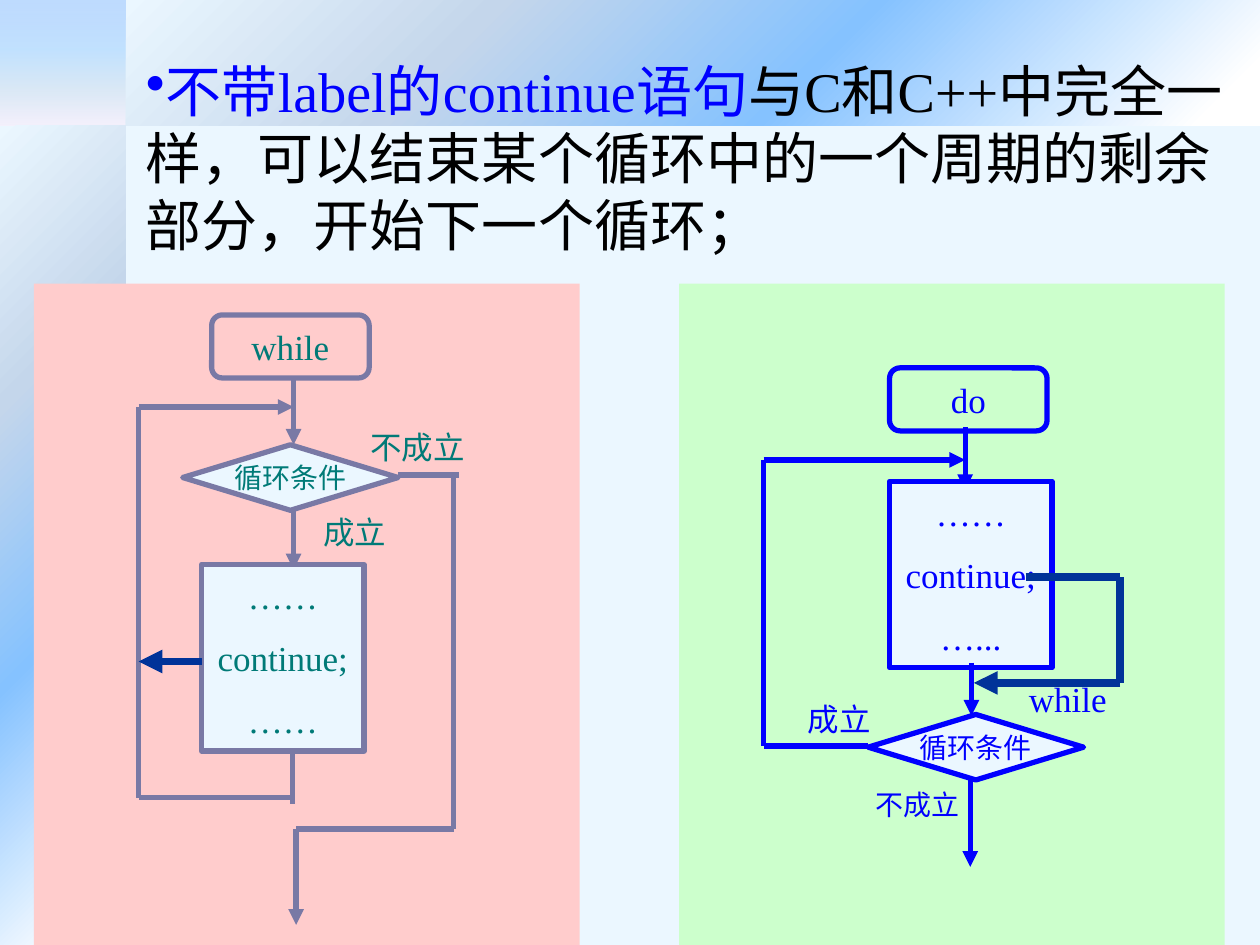
import pptx
import pptx.util
import pptx.dml.color
import pptx.enum.shapes
import pptx.enum.text
import pptx.oxml
import pptx.oxml.ns
from lxml import etree

SHAPE = pptx.enum.shapes.MSO_SHAPE
FONT = "Times New Roman"
COLORS = {"page": "EBF7FF", "pink": "FFCCCC", "green": "CCFFCC", "slate": "7979A5",
          "teal": "007A77", "blue": "0000FF", "navy": "003399", "black": "000000"}
RGB = {name: pptx.dml.color.RGBColor.from_string(h) for name, h in COLORS.items()}
A = "http://schemas.openxmlformats.org/drawingml/2006/main"

prs = pptx.Presentation()
prs.slide_width = pptx.util.Inches(10)
prs.slide_height = pptx.util.Inches(7.5)
U = prs.slide_width // 10  # grid cell: 10 columns by 7.5 rows
s = prs.slides.add_slide(prs.slide_layouts[6])
s.background.fill.solid()
s.background.fill.fore_color.rgb = RGB["page"]


def add_box(shapes, kind, at, fill=None, line=None, lines=(), size=20, color="black", wrap=True):
    """Add a preset shape, or a text box when kind is None, with centred lines of text."""
    pos = [int(v * U) for v in at]
    if kind is None:
        sp = shapes.add_textbox(*pos)
    else:
        sp = shapes.add_shape(kind, *pos)
        sp.shadow.inherit = False
        if fill:
            sp.fill.solid()
            sp.fill.fore_color.rgb = RGB[fill]
        else:
            sp.fill.background()
        if line:
            sp.line.color.rgb = RGB[line]
            sp.line.width = pptx.util.Pt(3)
        else:
            sp.line.fill.background()
    tf = sp.text_frame
    tf.word_wrap = wrap
    tf.vertical_anchor = pptx.enum.text.MSO_ANCHOR.MIDDLE
    for i, text in enumerate(lines):
        p = tf.add_paragraph() if i else tf.paragraphs[0]
        p.alignment = pptx.enum.text.PP_ALIGN.CENTER
        if i:
            p.space_before = pptx.util.Pt(11.5)
        r = p.add_run()
        r.text = text
        r.font.size = pptx.util.Pt(size)
        r.font.name = FONT
        r.font.color.rgb = RGB[color]
    return sp


def add_route(shapes, points, color, arrow, width=3):
    """Join the points with straight lines; the last may end in an arrowhead."""
    for i, (a, b) in enumerate(zip(points, points[1:]), 1):
        cn = shapes.add_connector(pptx.enum.shapes.MSO_CONNECTOR.STRAIGHT,
                                  *[int(v * U) for v in a + b])
        cn.line.color.rgb = RGB[color]
        cn.line.width = pptx.util.Pt(width)
        if arrow and i == len(points) - 1:
            etree.SubElement(cn.line._get_or_add_ln(), f"{{{A}}}tailEnd", type="triangle")
        etree.SubElement(cn._element.spPr, f"{{{A}}}effectLst")


# Gradient bands along the top and left edges
CORNER = [(0, "5E9EFF", 31), (40, "85C2FF", 40), (70, "C4D6EB", 44), (100, "FFEBFA", 50)]
BAND = [(5, "FFFFFF", 100), (40, "85C2FF", 100), (70, "C4D6EB", 100), (100, "EBF7FF", 100)]
LINEAR = '<a:lin ang="5400000" scaled="0"/>'
RADIAL = '<a:path path="circle"><a:fillToRect l="100000" t="100000"/></a:path>'
for at, rotation, stops, shade in [((0, 0, 1, 1), 0, CORNER, LINEAR),
                                   ((1, 0, 9, 1), 0, BAND, RADIAL),
                                   ((-2.75, 3.75, 6.5, 1), 90, BAND, RADIAL)]:
    sp = add_box(s.shapes, SHAPE.RECTANGLE, at)
    sp.rotation = rotation
    gs = "".join(f'<a:gs pos="{pos * 1000}"><a:srgbClr val="{c}"><a:alpha val="{alpha * 1000}"/>'
                 f'</a:srgbClr></a:gs>' for pos, c, alpha in stops)
    grad = pptx.oxml.parse_xml(f'<a:gradFill xmlns:a="{A}" rotWithShape="1">'
                               f'<a:gsLst>{gs}</a:gsLst>{shade}</a:gradFill>')
    no_fill = sp._element.spPr.find(pptx.oxml.ns.qn("a:noFill"))
    sp._element.spPr.replace(no_fill, grad)

# Bulleted statement
tf = add_box(s.shapes, None, (1.06, 0.4, 8.83, 1.7)).text_frame
tf.vertical_anchor = pptx.enum.text.MSO_ANCHOR.TOP
p = tf.paragraphs[0]
pPr = p._p.get_or_add_pPr()
pPr.set("marL", "0")
pPr.set("indent", "0")
etree.SubElement(pPr, f"{{{A}}}buChar", char="•")
for text, color in [("不带label的continue语句", "blue"),
                    ("与C和C++中完全一样，可以结束某个循环中的一个周期的剩余部分，开始下一个循环；", "black")]:
    r = p.add_run()
    r.text = text
    r.font.size = pptx.util.Pt(32)
    r.font.name = FONT
    r.font.color.rgb = RGB[color]

# Flowcharts: routes are (points, arrow); labels are (at, text, size, wrap)
CHARTS = [
    dict(left=0.27, fill="pink", line="slate", text="teal",
         start=(1.68, 2.5), keyword="while", test=(1.45, 3.53),
         body=(1.6, 4.48), steps=["……", "continue;", "……"],
         labels=[((2.84, 3.35, 0.95, 0.4), "不成立", 18, False),
                 ((2.18, 4.02, 1.27, 0.4), "成立", 18, True)],
         under=[([(2.33, 3), (2.33, 3.53)], True),
                ([(2.33, 4.05), (2.33, 4.52)], True),
                ([(2.33, 6.33), (1.1, 6.33), (1.1, 3.23), (2.33, 3.23)], True),
                ([(3.16, 3.77), (3.64, 3.77)], False)],
         over=[([(2.32, 5.96), (2.32, 6.38)], False),
               ([(3.6, 3.75), (3.6, 6.58), (2.35, 6.58), (2.35, 7.34)], True)],
         jump=[(1.6, 5.25), (1.1, 5.25)]),
    dict(left=5.39, fill="green", line="blue", text="blue",
         start=(7.06, 2.92), keyword="do", test=(6.89, 5.67),
         body=(7.06, 3.82), steps=["……", "continue;", "…..."],
         labels=[((6.31, 5.51, 0.7, 0.4), "成立", 18, False),
                 ((6.81, 6.2, 0.95, 0.37), "不成立", 16, True),
                 ((8.06, 5.33, 0.83, 0.43), "while", 20, True)],
         under=[([(7.66, 3.39), (7.66, 3.89)], True),
                ([(6.89, 5.92), (6.06, 5.92), (6.06, 3.65), (7.66, 3.65)], True)],
         over=[([(7.71, 5.26), (7.71, 5.68)], True),
               ([(7.7, 6.18), (7.7, 6.88)], True)],
         jump=[(8.14, 4.58), (8.89, 4.58), (8.89, 5.42), (7.73, 5.42)]),
]
for c in CHARTS:
    shapes = s.shapes.add_group_shape().shapes
    line, color = c["line"], c["text"]
    add_box(shapes, SHAPE.RECTANGLE, (c["left"], 2.25, 4.33, 5.25), c["fill"])
    for points, arrow in c["under"]:
        add_route(shapes, points, line, arrow)
    add_box(shapes, SHAPE.FLOWCHART_ALTERNATE_PROCESS, c["start"] + (1.25, 0.5), None, line,
            [c["keyword"]], 20, color, False)
    add_box(shapes, SHAPE.FLOWCHART_DECISION, c["test"] + (1.71, 0.52), "page", line,
            ["循环条件"], 16, color, False)
    add_box(shapes, SHAPE.RECTANGLE, c["body"] + (1.29, 1.48), "page", line,
            c["steps"], 20, color)
    for at, text, size, wrap in c["labels"]:
        add_box(shapes, None, at, lines=[text], size=size, color=color, wrap=wrap)
    for points, arrow in c["over"]:
        add_route(shapes, points, line, arrow)
    add_route(shapes, c["jump"], "navy", True, 4.5)

prs.save("out.pptx")
